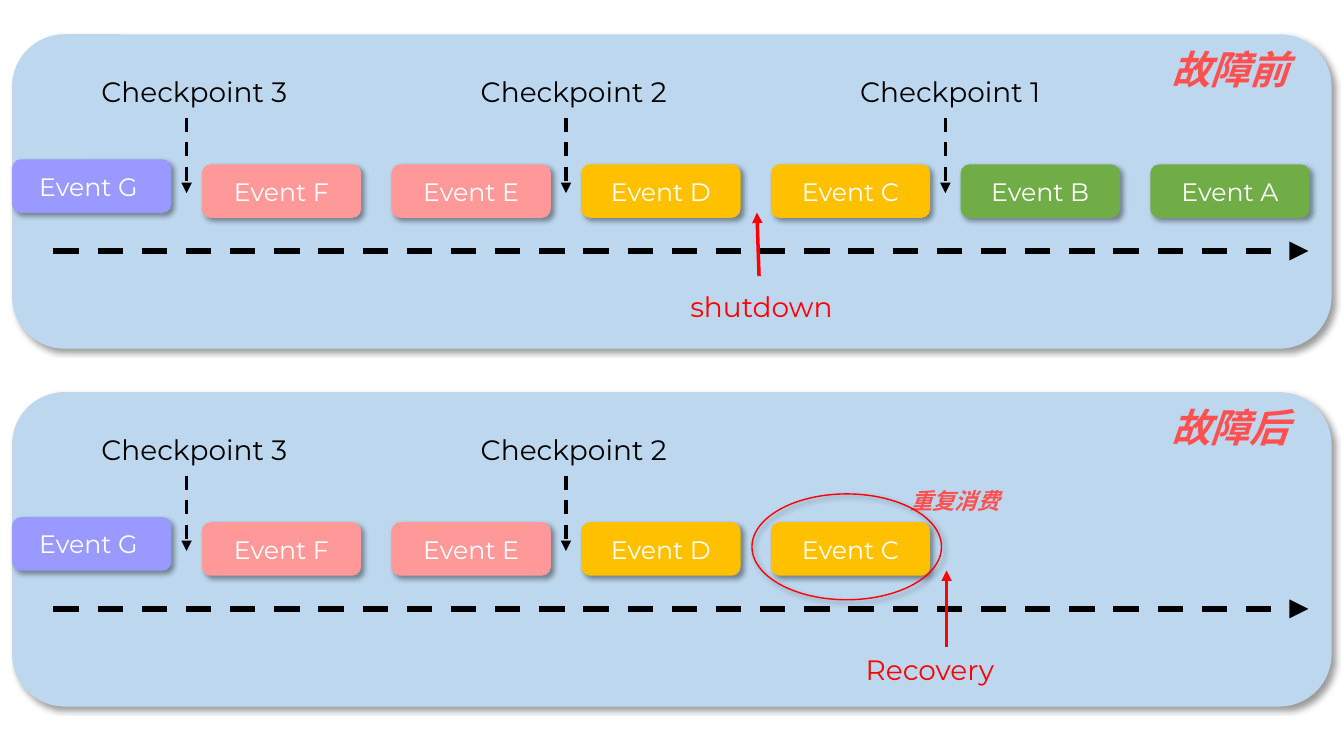
from dataclasses import dataclass
from typing import Any

from pptx import Presentation
from pptx.dml.color import RGBColor
from pptx.enum.dml import MSO_LINE
from pptx.enum.shapes import MSO_CONNECTOR, MSO_SHAPE
from pptx.enum.text import MSO_ANCHOR, PP_ALIGN
from pptx.oxml import parse_xml
from pptx.oxml.ns import nsdecls, qn
from pptx.oxml.xmlchemy import OxmlElement
from pptx.util import Pt

ROUND, OVAL = MSO_SHAPE.ROUNDED_RECTANGLE, MSO_SHAPE.OVAL
STRAIGHT, DASH = MSO_CONNECTOR.STRAIGHT, MSO_LINE.DASH
MIDDLE, CENTER = MSO_ANCHOR.MIDDLE, PP_ALIGN.CENTER

LATIN, HAN = "Montserrat", "Noto Sans CJK SC"
BLACK, WHITE, RED, CORAL = "000000", "FFFFFF", "FF0000", "FF5050"
SKY, LILAC, PINK, GOLD, GREEN = "BDD7EE", "9999FF", "FF9999", "FFC000", "70AD47"

LEFT, PITCH = 8.64, 135.5
WIDE, HIGH = 113.8, 38.2
GAP = PITCH - WIDE
EVENTS = [("G ", LILAC), ("F", PINK), ("E", PINK), ("D", GOLD),
          ("C", GOLD), ("B", GREEN), ("A", GREEN)]
CHECKS = [3, 2, 1]


@dataclass
class Label:
    """Text with the place and size of its box."""
    text: str
    x: float
    y: float
    w: float
    h: float


@dataclass
class Panel:
    """One timeline: its top, title, event count, checks and red mark."""
    top: float
    title: str
    events: int
    checks: int
    mark: Label
    start: tuple[float, float]
    end: tuple[float, float]


PANELS = [
    Panel(24.5, "故障前", 7, 3, Label("shutdown", 486, 178.5, 128, 31.5),
          (542.2, 172.8), (540.7, 127.4)),
    Panel(280.1, "故障后", 5, 2, Label("Recovery", 611.3, 182.1, 128, 31.5),
          (676.1, 182.1), (676.1, 127.4)),
]


def paint(hue: str) -> RGBColor:
    """Turn a hex string into a colour."""
    return RGBColor.from_string(hue)


def shade(shape: Any) -> None:
    """Give a shape the soft shadow cast to the lower right."""
    shape.shadow.inherit = False
    shape.element.spPr.find(qn("a:effectLst")).append(parse_xml(
        f'<a:outerShdw {nsdecls("a")} blurRad="{Pt(4)}" dist="{Pt(3)}" '
        'dir="2700000" algn="tl" rotWithShape="0"><a:srgbClr val="000000">'
        '<a:alpha val="40000"/></a:srgbClr></a:outerShdw>'))


def block(host: Any, x: float, y: float, w: float, h: float, fill: str) -> Any:
    """Add a filled round box without an outline."""
    shape = host.add_shape(ROUND, Pt(x), Pt(y), Pt(w), Pt(h))
    shape.fill.solid()
    shape.fill.fore_color.rgb = paint(fill)
    shape.line.fill.background()
    shade(shape)
    return shape


def write(shape: Any, text: str, size: float, hue: str) -> Any:
    """Put one line of text in a shape and return its paragraph."""
    shape.text_frame.word_wrap = True
    line = shape.text_frame.paragraphs[0]
    line.text = text
    line.font.name, line.font.size = LATIN, Pt(size)
    line.font.color.rgb = paint(hue)
    return line


def label(host: Any, item: Label, size: float, hue: str, top: float = 0) -> Any:
    """Add a text box below the given top."""
    box = host.add_textbox(Pt(item.x), Pt(top + item.y), Pt(item.w), Pt(item.h))
    return write(box, item.text, size, hue)


def slant(host: Any, item: Label, size: float, top: float = 0) -> None:
    """Add a bold italic Chinese label."""
    line = label(host, item, size, CORAL, top)
    run = line.runs[0].font
    run.name, run.bold, run.italic = HAN, True, True
    east = OxmlElement("a:ea")
    east.set("typeface", HAN)
    line.runs[0].font.fill  # noqa: B018
    line.runs[0]._r.get_or_add_rPr().find(qn("a:latin")).addnext(east)


def arrow(host: Any, start: tuple[float, float], end: tuple[float, float],
          width: float, hue: str, dash: bool) -> None:
    """Add a line with a triangle at its end."""
    line = host.add_connector(STRAIGHT, *map(Pt, start + end))
    line.line.color.rgb = paint(hue)
    line.line.width = Pt(width)
    if dash:
        line.line.dash_style = DASH
    frame = line.element.spPr
    tip = OxmlElement("a:tailEnd")
    tip.set("type", "triangle")
    frame.find(qn("a:ln")).append(tip)
    frame.append(OxmlElement("a:effectLst"))


def draw(slide: Any, panel: Panel) -> None:
    """Draw a panel with its events, checkpoints and marks as a group."""
    host, top = slide.shapes.add_group_shape().shapes, panel.top
    block(host, LEFT, top, 942.5, 224.6, SKY)
    for slot, (name, hue) in enumerate(EVENTS[:panel.events]):
        y = top + (92.9 if slot else 89.3)
        box = block(host, LEFT + slot * PITCH, y, WIDE, HIGH, hue)
        box.text_frame.vertical_anchor = MIDDLE
        write(box, f"Event {name}", 18, WHITE).alignment = CENTER
    arrow(host, (38.2, top + 154.8), (934.6, top + 154.8), 4.5, BLACK, True)
    for slot, number in enumerate(CHECKS[:panel.checks]):
        x = LEFT + (2 * slot + 1) * PITCH - GAP / 2
        arrow(host, (x, top + 59.7), (x, top + 113.5), 2.5, BLACK, True)
        label(host, Label(f"Checkpoint {number}", x - 68, 25.2, 172, 31.5),
              20, BLACK, top)
    label(host, panel.mark, 20, RED, top)
    (x, y), (tip, peak) = panel.start, panel.end
    arrow(host, (x, top + y), (tip, top + peak), 2.5, RED, False)
    slant(host, Label(panel.title, 829.4, 4.3, 113, 41), 28, top)


def ring(slide: Any) -> None:
    """Circle the event that is consumed again and name it."""
    slant(slide.shapes, Label("重复消费", 643, 344.2, 85, 26.6), 16)
    oval = slide.shapes.add_shape(OVAL, Pt(537.1), Pt(352.8), Pt(135.4), Pt(75.6))
    oval.fill.background()
    oval.line.color.rgb = paint(RED)
    oval.line.width = Pt(1)
    shade(oval)


def main() -> None:
    """Build and save the slide."""
    deck = Presentation()
    deck.slide_width, deck.slide_height = Pt(960), Pt(540)
    slide = deck.slides.add_slide(deck.slide_layouts[6])
    for panel in PANELS:
        draw(slide, panel)
    ring(slide)
    deck.save("out.pptx")


main()
